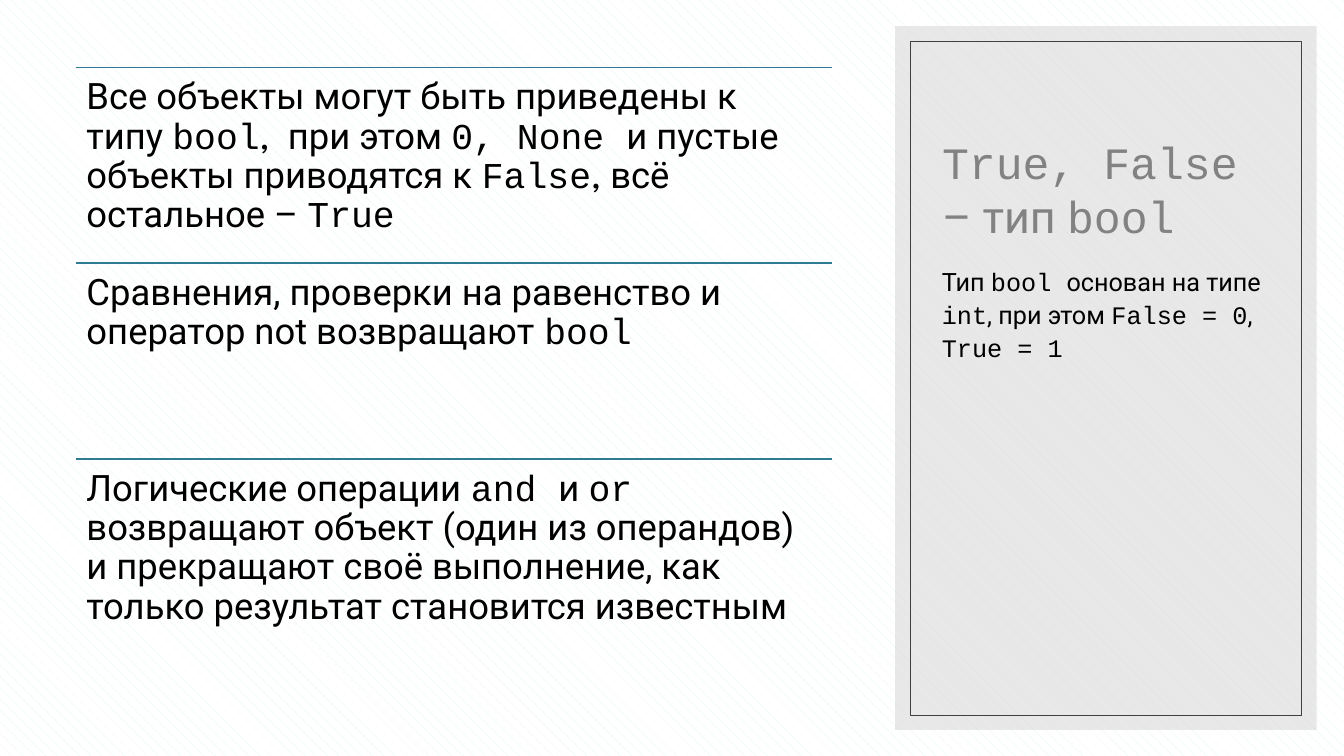
from pptx import Presentation
from pptx.dml.color import RGBColor
from pptx.enum.dml import MSO_PATTERN
from pptx.enum.shapes import MSO_CONNECTOR, MSO_SHAPE
from pptx.enum.text import MSO_ANCHOR, MSO_AUTO_SIZE, PP_ALIGN
from pptx.oxml.ns import qn
from pptx.util import Pt
from lxml.etree import SubElement

SANS, MONO, PUNCT = "Roboto", "Courier New", "League Spartan"

TITLE = [(MONO, "True, False "), (SANS, "– тип "), (MONO, "bool")]
NOTE = [
    (SANS, "Тип "), (MONO, "bool "), (SANS, "основан на типе "), (MONO, "int"),
    (SANS, ", при этом "), (MONO, "False = 0"), (SANS, ", "), (MONO, "True = 1"),
]
RULES = [
    [
        (SANS, "Все объекты могут быть приведены к типу "), (MONO, "bool"),
        (PUNCT, ",  "), (SANS, "при этом "), (MONO, "0, None "),
        (SANS, "и пустые объекты приводятся к "), (MONO, "False"),
        (PUNCT, ", "), (SANS, "всё остальное – "), (MONO, "True"),
    ],
    [
        (SANS, "Сравнения, проверки на равенство и оператор not возвращают "),
        (MONO, "bool"),
    ],
    [
        (SANS, "Логические операции "), (MONO, "and "), (SANS, "и "), (MONO, "or "),
        (SANS, "возвращают объект (один из операндов) и прекращают своё "
               "выполнение, как только результат становится известным"),
    ],
]


def color(hex_code):
    return RGBColor.from_string(hex_code)


def place(sp, left, top, width, height):
    sp.left, sp.top, sp.width, sp.height = Pt(left), Pt(top), Pt(width), Pt(height)


def write(sp, parts, size, spacing, anchor=MSO_ANCHOR.TOP):
    tf = sp.text_frame
    tf.word_wrap = True
    tf.auto_size = MSO_AUTO_SIZE.NONE
    tf.vertical_anchor = anchor
    p = tf.paragraphs[0]
    p.alignment = PP_ALIGN.LEFT
    p.line_spacing = spacing
    for font, text in parts:
        r = p.add_run()
        r.text = text
        r.font.name = font
        r.font.size = Pt(size)
        r.font.color.rgb = color("000000")
    return p


def add_background(s):
    fill = s.background.fill
    fill.patterned()
    fill.pattern = MSO_PATTERN.SHINGLE
    fill.fore_color.rgb = color("DEF4F7")
    fill.back_color.rgb = color("FFFFFF")


def add_panel(s, left, top, width, height):
    def add_rect(inset):
        sp = s.shapes.add_shape(
            MSO_SHAPE.RECTANGLE, Pt(left + inset), Pt(top + inset),
            Pt(width - 2 * inset), Pt(height - 2 * inset))
        sp.shadow.inherit = False
        return sp

    panel = add_rect(0)
    panel.fill.solid()
    panel.fill.fore_color.rgb = color("D9D9D9")
    panel.line.fill.background()
    rgb = panel.fill._xPr.find(qn("a:solidFill")).find(qn("a:srgbClr"))
    SubElement(rgb, qn("a:alpha")).set("val", "60000")

    frame = add_rect(10.6)
    frame.fill.background()
    frame.line.color.rgb = color("404040")
    frame.line.width = Pt(0.5)

    margin = 26.3
    text_width = width - 2 * margin
    title = s.shapes.title
    place(title, left + margin, top + 28.5, text_width, 129.6)
    write(title, TITLE, 32, 1.0, MSO_ANCHOR.BOTTOM)

    note = s.shapes.add_textbox(
        Pt(left + margin), Pt(top + 165.6), Pt(text_width), Pt(283.7))
    write(note, NOTE, 18, 1.1).space_before = Pt(8)


def add_rules(s, left, top, width, height):
    row_height = height / len(RULES)
    for i, parts in enumerate(RULES):
        y = top + i * row_height
        line = s.shapes.add_connector(
            MSO_CONNECTOR.STRAIGHT, Pt(left), Pt(y), Pt(left + width), Pt(y))
        line.line.color.rgb = color("2F7B91")
        line.line.width = Pt(1)
        SubElement(line._element.spPr, qn("a:effectLst"))

        sp = s.shapes.add_textbox(Pt(left), Pt(y), Pt(width), Pt(row_height))
        tf = sp.text_frame
        tf.margin_left = tf.margin_right = tf.margin_top = tf.margin_bottom = Pt(7.8)
        write(sp, parts, 26, 0.9)


prs = Presentation()
prs.slide_width, prs.slide_height = Pt(960), Pt(540)
s = prs.slides.add_slide(prs.slide_layouts[5])
add_background(s)
add_panel(s, 639.4, 18.7, 301, 502.6)
add_rules(s, 54, 48.2, 540, 419.4)
prs.save("out.pptx")
